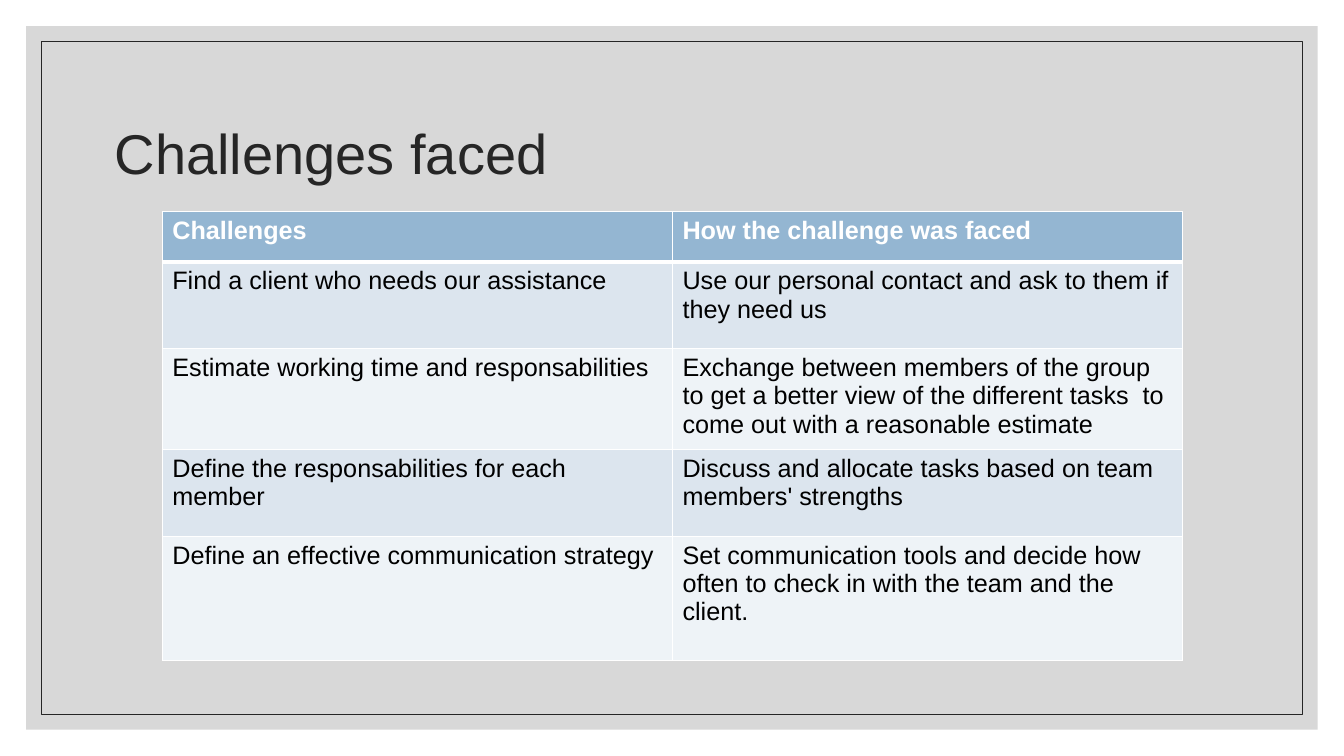
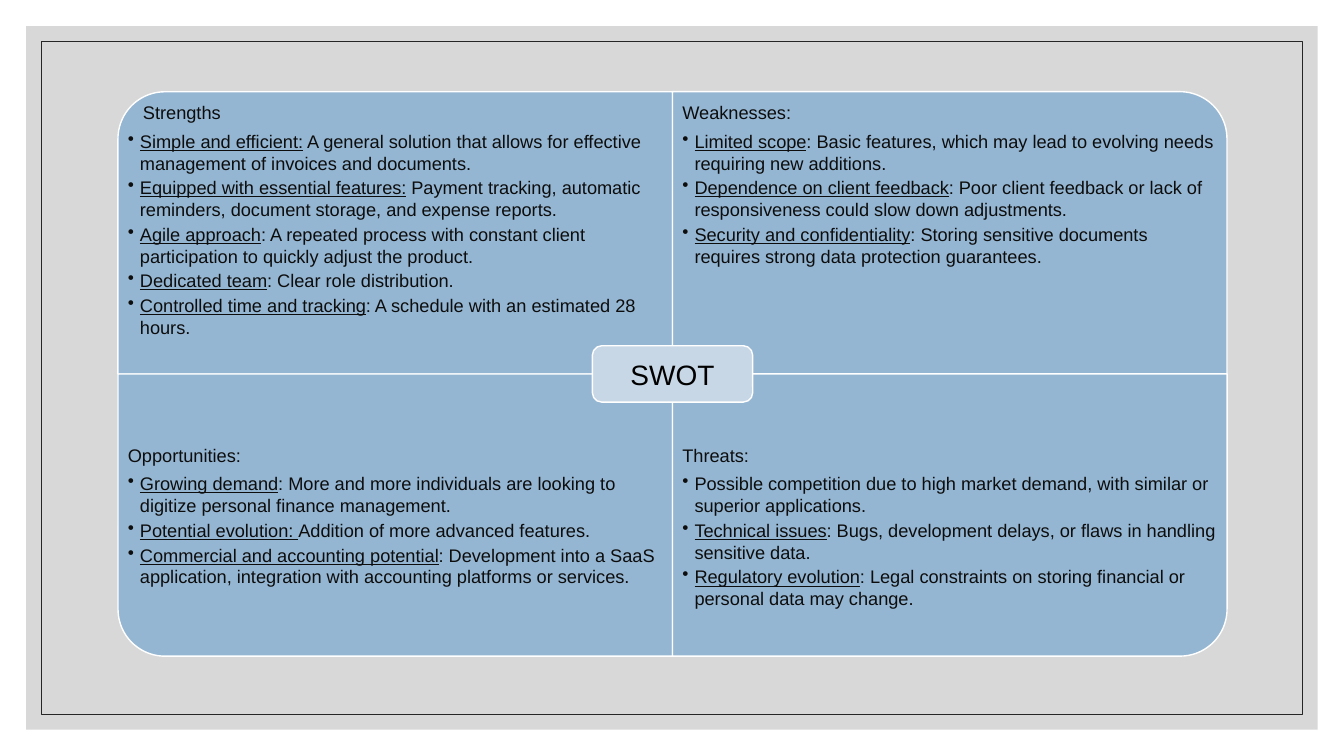
import dataclasses

import lxml.etree
import pptx
import pptx.dml.color
import pptx.enum.shapes
import pptx.enum.text
import pptx.oxml.ns
import pptx.util

Inches = pptx.util.Inches
Pt = pptx.util.Pt
Shape = pptx.enum.shapes.MSO_SHAPE
Align = pptx.enum.text.PP_ALIGN
Anchor = pptx.enum.text.MSO_ANCHOR
qn = pptx.oxml.ns.qn


@dataclasses.dataclass(frozen=True)
class Theme:
    font: str = "Arial"
    white: str = "FFFFFF"
    black: str = "000000"
    ink: str = "262626"
    body_ink: str = "0D0D0D"
    panel: str = "BFBFBF"
    accent: str = "94B6D2"
    accent_light: str = "C8D7E5"
    bands: tuple = ("DCE5EE", "EEF3F7")
    title_size: int = 40
    label_size: int = 20
    table_size: int = 18
    body_size: int = 13


THEME = Theme()
WIDTH, HEIGHT = 13.33, 7.5


def rgb(color):
    return pptx.dml.color.RGBColor.from_string(color)


def paint(fill, color):
    fill.solid()
    fill.fore_color.rgb = rgb(color)


def write(paragraph, text, size=THEME.body_size, color=THEME.body_ink,
          bold=False, underline=False):
    run = paragraph.add_run()
    run.text = text
    run.font.name = THEME.font
    run.font.size = Pt(size)
    run.font.color.rgb = rgb(color)
    run.font.bold = bold
    run.font.underline = underline


def indent(paragraph, left, first=0.0):
    properties = paragraph._p.get_or_add_pPr()
    properties.set("marL", str(Inches(left)))
    properties.set("indent", str(Inches(first)))
    return properties


def add_bullet(paragraph):
    properties = indent(paragraph, 0.12, -0.12)
    bullet = lxml.etree.SubElement(properties, qn("a:buChar"))
    bullet.set("char", "•")


def set_borders(cell, bottom):
    properties = cell._tc.get_or_add_tcPr()
    widths = {"a:lnL": 1, "a:lnR": 1, "a:lnT": 1, "a:lnB": bottom}
    for position, (tag, width) in enumerate(widths.items()):
        line = lxml.etree.Element(qn(tag), w=str(Pt(width)))
        fill = lxml.etree.SubElement(line, qn("a:solidFill"))
        lxml.etree.SubElement(fill, qn("a:srgbClr"), val=THEME.white)
        properties.insert(position, line)


class Deck:
    def __init__(self):
        self.presentation = pptx.Presentation()
        self.presentation.slide_width = Inches(WIDTH)
        self.presentation.slide_height = Inches(HEIGHT)
        self.slide = None

    def new_slide(self):
        layout = self.presentation.slide_layouts[6]
        self.slide = self.presentation.slides.add_slide(layout)
        paint(self.slide.background.fill, THEME.white)
        panel = self.framed(0.26, fill=THEME.panel)
        color = panel._element.spPr.find(qn("a:solidFill"))[0]
        lxml.etree.SubElement(color, qn("a:alpha"), val="60000")
        self.framed(0.41, line=THEME.ink, line_width=0.5)

    def framed(self, margin, **style):
        return self.shape(Shape.RECTANGLE, margin, margin,
                          WIDTH - 2 * margin, HEIGHT - 2 * margin, **style)

    def shape(self, kind, left, top, width, height,
              fill=None, line=None, line_width=1, rotation=0):
        shape = self.slide.shapes.add_shape(
            kind, Inches(left), Inches(top), Inches(width), Inches(height))
        shape.shadow.inherit = False
        shape.rotation = rotation
        if fill:
            paint(shape.fill, fill)
        else:
            shape.fill.background()
        if line:
            shape.line.color.rgb = rgb(line)
            shape.line.width = Pt(line_width)
        else:
            shape.line.fill.background()
        return shape

    def text_frame(self, left, top, width, height, anchor=Anchor.TOP,
                   inset=0.1, inset_top=0.1):
        box = self.slide.shapes.add_textbox(
            Inches(left), Inches(top), Inches(width), Inches(height))
        frame = box.text_frame
        frame.word_wrap = True
        frame.vertical_anchor = anchor
        frame.margin_left = frame.margin_right = Inches(inset)
        frame.margin_bottom = Inches(inset)
        frame.margin_top = Inches(inset_top)
        return frame

    def title(self, text):
        frame = self.text_frame(1.04, 0.8, 11, 1.5, Anchor.MIDDLE,
                                inset_top=0.1)
        paragraph = frame.paragraphs[0]
        paragraph.line_spacing = 0.9
        write(paragraph, text, size=THEME.title_size, color=THEME.ink)

    def table(self, rows, left, top, column_width, row_heights):
        columns = len(rows[0])
        table = self.slide.shapes.add_table(
            len(rows), columns, Inches(left), Inches(top),
            Inches(column_width * columns), Inches(sum(row_heights))).table
        for column in table.columns:
            column.width = Inches(column_width)
        for row, height in zip(table.rows, row_heights):
            row.height = Inches(height)
        for number, texts in enumerate(rows):
            header = number == 0
            fill = THEME.accent if header else THEME.bands[(number - 1) % 2]
            for column, text in enumerate(texts):
                cell = table.cell(number, column)
                paint(cell.fill, fill)
                set_borders(cell, bottom=3 if header else 1)
                write(cell.text_frame.paragraphs[0], text,
                      size=THEME.table_size, bold=header,
                      color=THEME.white if header else THEME.black)

    def quadrant(self, left, top, width, height, rotation):
        if rotation % 180:
            left += (width - height) / 2
            top += (height - width) / 2
            width, height = height, width
        self.shape(Shape.ROUND_1_RECTANGLE, left, top, width, height,
                   fill=THEME.accent, line=THEME.white, rotation=rotation)

    def bullet_list(self, frame, heading, items, heading_indent=0.0):
        paragraph = frame.paragraphs[0]
        paragraph.space_after = Pt(4.5)
        indent(paragraph, heading_indent)
        write(paragraph, heading)
        for term, explanation in items:
            paragraph = frame.add_paragraph()
            paragraph.space_after = Pt(2)
            add_bullet(paragraph)
            if term:
                write(paragraph, term, underline=True)
            write(paragraph, explanation)

    def center_label(self, text, center_x, center_y, width, height):
        left, top = center_x - width / 2, center_y - height / 2
        label = self.shape(Shape.ROUNDED_RECTANGLE, left, top, width, height,
                           fill=THEME.accent_light, line=THEME.white)
        label.text_frame.vertical_anchor = Anchor.MIDDLE
        paragraph = label.text_frame.paragraphs[0]
        paragraph.alignment = Align.CENTER
        write(paragraph, text, size=THEME.label_size, color=THEME.black)


CHALLENGES = [
    ("Challenges", "How the challenge was faced"),
    ("Find a client who needs our assistance",
     "Use our personal contact and ask to them if they need us"),
    ("Estimate working time and responsabilities",
     "Exchange between members of the group to get a better view of the "
     "different tasks  to come out with a reasonable estimate"),
    ("Define the responsabilities for each member",
     "Discuss and allocate tasks based on team members' strengths"),
    ("Define an effective communication strategy",
     "Set communication tools and decide how often to check in with the "
     "team and the client."),
]

STRENGTHS = [
    ("Simple and efficient:", " A general solution that allows for effective "
     "management of invoices and documents."),
    ("Equipped with essential features:", " Payment tracking, automatic "
     "reminders, document storage, and expense reports."),
    ("Agile approach", ": A repeated process with constant client "
     "participation to quickly adjust the product."),
    ("Dedicated team", ": Clear role distribution."),
    ("Controlled time and tracking",
     ": A schedule with an estimated 28 hours."),
]
WEAKNESSES = [
    ("Limited scope", ": Basic features, which may lead to evolving needs "
     "requiring new additions."),
    ("Dependence on client feedback", ": Poor client feedback or lack of "
     "responsiveness could slow down adjustments."),
    ("Security and confidentiality", ": Storing sensitive documents requires "
     "strong data protection guarantees."),
]
OPPORTUNITIES = [
    ("Growing demand", ": More and more individuals are looking to digitize "
     "personal finance management."),
    ("Potential evolution: ", "Addition of more advanced features."),
    ("Commercial and accounting potential", ": Development into a SaaS "
     "application, integration with accounting platforms or services."),
]
THREATS = [
    ("", "Possible competition due to high market demand, with similar or "
     "superior applications."),
    ("Technical issues", ": Bugs, development delays, or flaws in handling "
     "sensitive data."),
    ("Regulatory evolution", ": Legal constraints on storing financial or "
     "personal data may change."),
]

SWOT = [
    ("Strengths", STRENGTHS, 0, 0, 270, 0.15),
    ("Weaknesses:", WEAKNESSES, 1, 0, 0, 0),
    ("Opportunities:", OPPORTUNITIES, 0, 1, 180, 0),
    ("Threats:", THREATS, 1, 1, 90, 0),
]


def build_challenges(deck):
    deck.new_slide()
    deck.title("Challenges faced")
    deck.table(CHALLENGES, 1.61, 2.1, 5.06, [0.5, 0.86, 0.86, 0.86, 1.23])


def build_swot(deck):
    deck.new_slide()
    left, top, width, height, text_height = 1.17, 0.91, 5.5, 2.8, 2.1
    for heading, items, column, row, rotation, heading_indent in SWOT:
        x, y = left + column * width, top + row * height
        deck.quadrant(x, y, width, height, rotation)
        frame = deck.text_frame(x, y + row * (height - text_height), width,
                                text_height, inset_top=0 if row else 0.1)
        deck.bullet_list(frame, heading, items, heading_indent)
    deck.center_label("SWOT", left + width, top + height, 1.59, 0.56)


def main():
    deck = Deck()
    build_challenges(deck)
    build_swot(deck)
    deck.presentation.save("out.pptx")


if __name__ == "__main__":
    main()
